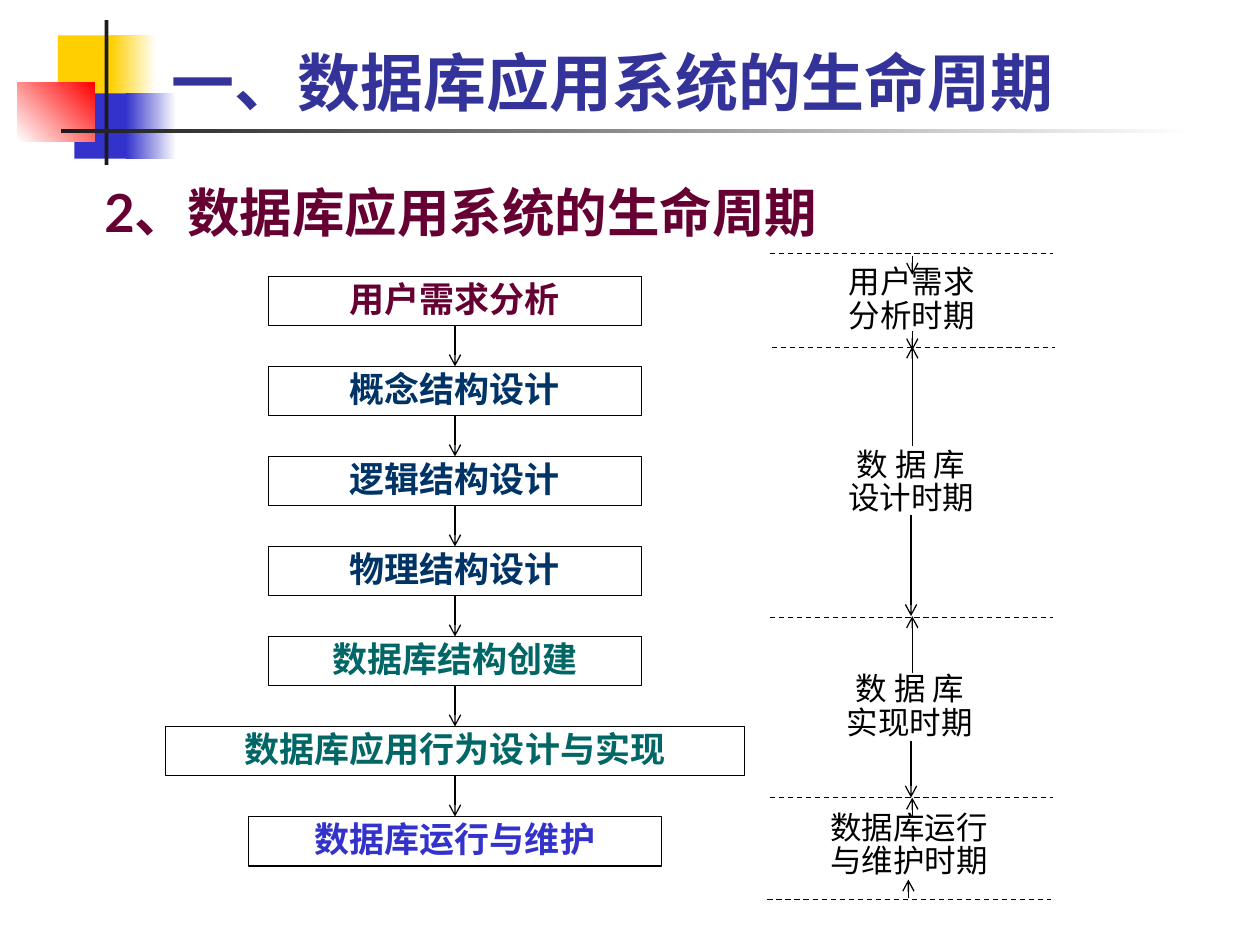
"""Build the slide on the life cycle of a database application system."""
import itertools

import pptx
import pptx.dml.color
import pptx.enum.dml
import pptx.enum.shapes
import pptx.enum.text
import pptx.oxml
import pptx.oxml.ns
import pptx.util

Pt = pptx.util.Pt
ALIGN = pptx.enum.text.PP_ALIGN
ANCHOR = pptx.enum.text.MSO_ANCHOR

THEME = {
    "latin": "Lato", "cjk": "Noto Sans CJK SC",
    "title_size": 36, "heading_size": 30, "step_size": 20, "phase_size": 18,
    "title": "333399", "yellow": "FFCF01", "blue": "3333CC", "red": "FF0000",
    "dark": "1C1C1C", "black": "000000", "white": "FFFFFF",
    "analysis": "660033", "design": "003366", "build": "006666",
    "line_width": 0.75, "line_spacing": 0.88,
}

TITLE = "一、数据库应用系统的生命周期"
HEADING = "2、数据库应用系统的生命周期"

# left, top, width, height, start colour, end colour, angle
DECORATIONS = [
    (33.1, 20.2, 34.6, 37.4, "yellow", None, 0),
    (63.4, 20.2, 25.9, 37.4, "yellow", "white", 0),
    (42.5, 53.3, 33.1, 37.4, "blue", None, 0),
    (72, 53.3, 28.8, 37.4, "blue", "white", 0),
    (10, 47.2, 44, 33.5, "white", "red", 45),
    (59.8, 11.5, 2.2, 82.8, "dark", None, 0),
    (34.6, 73.6, 648, 2.2, "dark", "white", 0),
]

STEPS = [
    ("用户需求分析", 213, "analysis"),
    ("概念结构设计", 213, "design"),
    ("逻辑结构设计", 213, "design"),
    ("物理结构设计", 213, "design"),
    ("数据库结构创建", 213, "build"),
    ("数据库应用行为设计与实现", 331, "build"),
    ("数据库运行与维护", 236, "blue"),
]
STEP_CENTER, STEP_TOP, STEP_PITCH, STEP_HEIGHT = 260, 157.9, 51.45, 28.2

# text, centre, top, width
PHASES = [
    ("用户需求\n分析时期", 520.9, 148.3, 142),
    ("数据库运行\n与维护时期", 519.5, 460.1, 189),
    ("数 据 库\n设计时期", 520.6, 252.7, 213),
    ("数 据 库\n实现时期", 519.9, 380.9, 213),
]
PHASE_HEIGHT = 46.8
BOUNDARIES = [(440, 144.7), (441, 198.7), (440, 352.8), (440, 455.8), (438.5, 514.1)]
BOUNDARY_WIDTH = 161.8

# x, start y, end y
PHASE_ARROWS = [
    (521.3, 146.2, 157), (521.3, 189.4, 200.2),
    (521.3, 254.9, 198), (520.6, 294.5, 352.1),
    (521.3, 384.5, 352.1), (520.6, 423.4, 455.8),
    (521.3, 467.3, 455.8), (519.1, 513.4, 502.6),
]


def color(name):
    return pptx.dml.color.RGBColor.from_string(THEME[name])


def write(shape, text, size, color_name, font, bold=False, align=None,
          anchor=ANCHOR.MIDDLE, spacing=None):
    frame = shape.text_frame
    frame.text = text
    frame.word_wrap = True
    frame.vertical_anchor = anchor
    for paragraph in frame.paragraphs:
        paragraph.alignment = align
        paragraph.line_spacing = spacing
        for run in paragraph.runs:
            run.font.size = Pt(THEME[size])
            run.font.bold = bold
            run.font.name = THEME[font]
            run.font.color.rgb = color(color_name)
            east_asian = pptx.oxml.parse_xml(
                f'<a:ea {pptx.oxml.ns.nsdecls("a")} typeface="{THEME["cjk"]}"/>')
            run.font._element.append(east_asian)


def add_box(slide, left, top, width, height, line=None):
    shape = slide.shapes.add_shape(pptx.enum.shapes.MSO_SHAPE.RECTANGLE,
                                   Pt(left), Pt(top), Pt(width), Pt(height))
    shape.shadow.inherit = False
    shape.fill.solid()
    shape.fill.fore_color.rgb = color("white")
    if line:
        shape.line.color.rgb = color(line)
        shape.line.width = Pt(THEME["line_width"])
    else:
        shape.line.fill.background()
    return shape


def add_line(slide, x1, y1, x2, y2, arrow=True):
    connector = slide.shapes.add_connector(pptx.enum.shapes.MSO_CONNECTOR.STRAIGHT,
                                           Pt(x1), Pt(y1), Pt(x2), Pt(y2))
    connector.line.color.rgb = color("black")
    connector.line.width = Pt(THEME["line_width"])
    namespace = pptx.oxml.ns.nsdecls("a")
    if arrow:
        connector.line._get_or_add_ln().append(
            pptx.oxml.parse_xml(f'<a:tailEnd {namespace} type="arrow"/>'))
    else:
        connector.line.dash_style = pptx.enum.dml.MSO_LINE.DASH
    connector._element.spPr.append(pptx.oxml.parse_xml(f"<a:effectLst {namespace}/>"))
    return connector


def add_decorations(slide):
    for left, top, width, height, start, end, angle in DECORATIONS:
        fill = add_box(slide, left, top, width, height).fill
        if end:
            fill.gradient()
            fill.gradient_angle = angle
            for stop, position, name in zip(fill.gradient_stops, (0, 1), (start, end)):
                stop.position = position
                stop.color.rgb = color(name)
        else:
            fill.fore_color.rgb = color(start)


def add_phases(slide):
    for text, center, top, width in PHASES:
        box = add_box(slide, center - width / 2, top, width, PHASE_HEIGHT, "white")
        write(box, text, "phase_size", "black", "cjk", align=ALIGN.CENTER,
              spacing=THEME["line_spacing"])
    for left, y in BOUNDARIES:
        add_line(slide, left, y, left + BOUNDARY_WIDTH, y, arrow=False)
    for x, start, end in PHASE_ARROWS:
        add_line(slide, x, start, x, end)


def add_steps(slide):
    boxes = []
    for index, (text, width, color_name) in enumerate(STEPS):
        box = add_box(slide, STEP_CENTER - width / 2, STEP_TOP + index * STEP_PITCH,
                      width, STEP_HEIGHT, "black")
        write(box, text, "step_size", color_name, "cjk", bold=True,
              align=ALIGN.CENTER, spacing=THEME["line_spacing"])
        boxes.append(box)
    for upper, lower in itertools.pairwise(boxes):
        connector = add_line(slide, 0, 0, 0, 0)
        connector.begin_connect(upper, 2)
        connector.end_connect(lower, 0)


def main():
    presentation = pptx.Presentation()
    presentation.slide_width, presentation.slide_height = Pt(720), Pt(540)
    slide = presentation.slides.add_slide(presentation.slide_layouts[6])
    add_decorations(slide)
    title = slide.shapes.add_textbox(Pt(90.7), Pt(5.8), Pt(613.4), Pt(65.5))
    write(title, TITLE, "title_size", "title", "latin", bold=True, anchor=ANCHOR.BOTTOM)
    add_phases(slide)
    add_steps(slide)
    heading = slide.shapes.add_textbox(Pt(52.6), Pt(88.6), Pt(625), Pt(56.9))
    write(heading, HEADING, "heading_size", "analysis", "latin", bold=True,
          anchor=ANCHOR.TOP, spacing=1.3)
    presentation.save("out.pptx")


if __name__ == "__main__":
    main()
